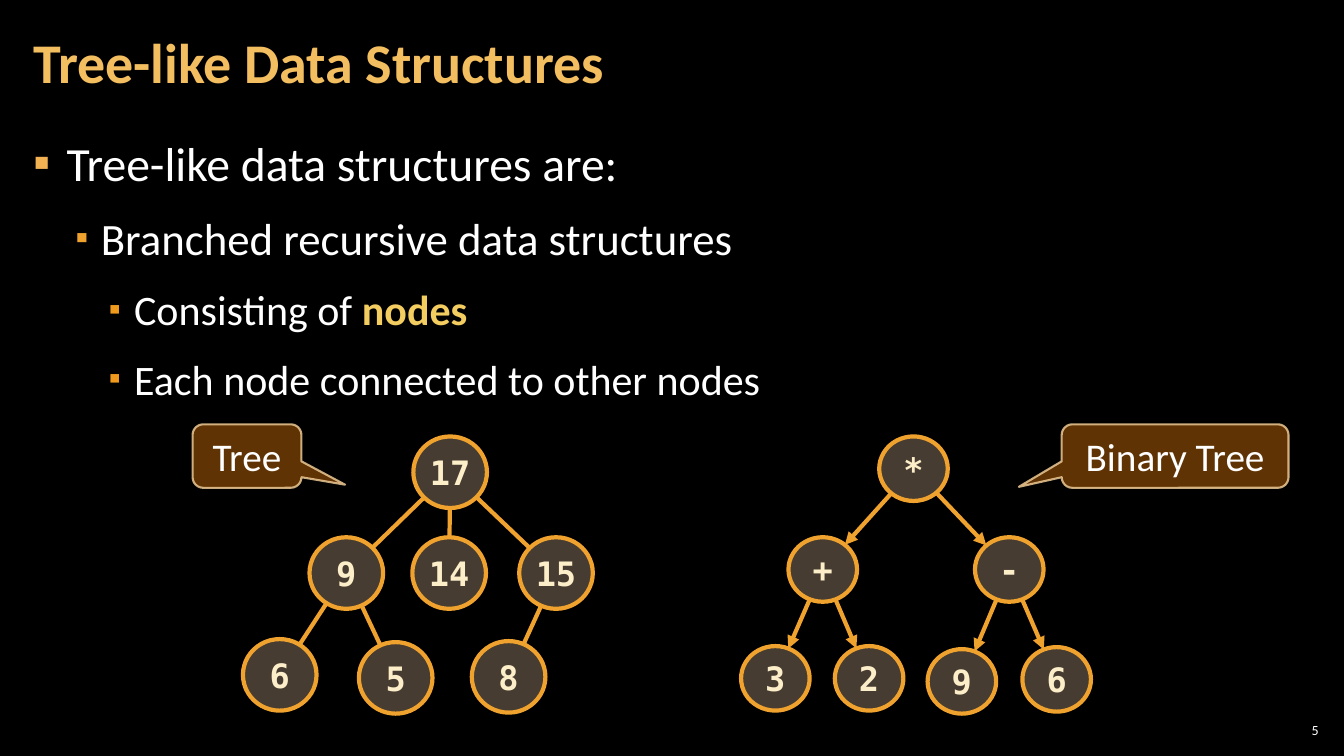
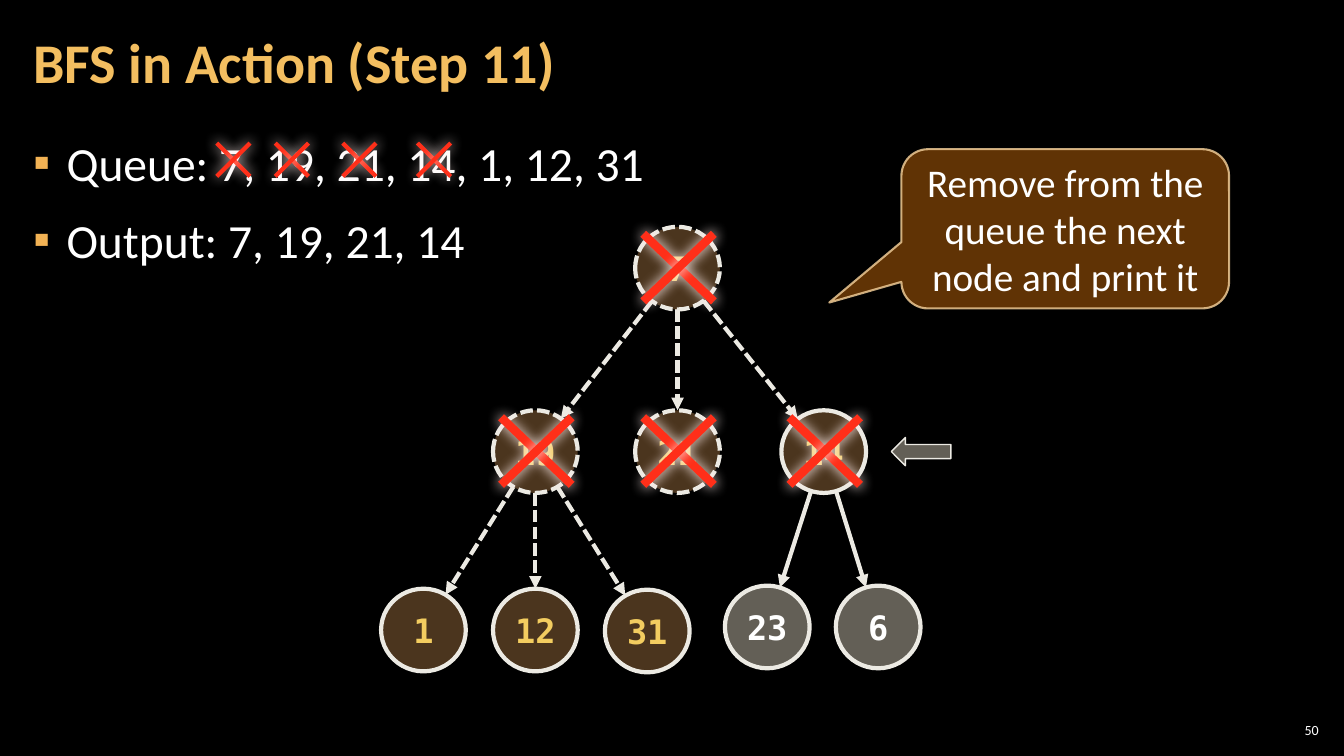
from math import hypot

from lxml import etree
from pptx import Presentation
from pptx.dml.color import RGBColor
from pptx.enum.dml import MSO_LINE
from pptx.enum.shapes import MSO_CONNECTOR, MSO_SHAPE
from pptx.enum.text import MSO_ANCHOR, PP_ALIGN
from pptx.oxml.ns import qn
from pptx.util import Inches, Pt

STRAIGHT = MSO_CONNECTOR.STRAIGHT
OVAL = MSO_SHAPE.OVAL
BUBBLE = MSO_SHAPE.ROUNDED_RECTANGULAR_CALLOUT
ARROW = MSO_SHAPE.LEFT_ARROW
DASH = MSO_LINE.SQUARE_DOT
MIDDLE, TOP = MSO_ANCHOR.MIDDLE, MSO_ANCHOR.TOP
CENTER, RIGHT, LEFT = PP_ALIGN.CENTER, PP_ALIGN.RIGHT, PP_ALIGN.LEFT

BLACK, WHITE = "000000", "FFFFFF"
GOLD, YELLOW, CREAM = "F3BE60", "F3CD60", "FBEEC9"
ORANGE, SAND, IVORY = "F0A22E", "ECC8A4", "ECEAE3"
BROWN, STONE, RED, GLOW = "6C4C2C", "C7BFAC", "FF2F19", "FFEDEB"
RUST, TAN = "663606", "F8D49E"
SANS, MONO = "Calibri", "DejaVu Sans Mono"

LEVELS = [
    dict(size=34, left=0.33, hang=0.33, mark="F2B254", scale=100),
    dict(size=32, left=0.67, hang=0.25, mark=ORANGE, scale=80),
    dict(size=30, left=1, hang=0.25, mark="EF9A1D", scale=80),
]
WARM = dict(fill=SAND, alpha=30, line=ORANGE, ink=CREAM)
SEEN = dict(fill=BROWN, alpha=70, line=IVORY, ink=YELLOW)
DONE = dict(SEEN, dash=DASH)
IDLE = dict(fill=STONE, alpha=50, line=IVORY, ink=WHITE)


def put(obj, **vals):
    for name, val in vals.items():
        setattr(obj, name, val)


def paint(fill, code):
    fill.solid()
    fill.fore_color.rgb = RGBColor.from_string(code)


def add(node, tag, **vals):
    return etree.SubElement(node, qn("a:" + tag), {k: str(v) for k, v in vals.items()})


def fade(node, part, pct):
    color = node.find(qn("a:" + part)).find(".//" + qn("a:srgbClr"))
    add(color, "alpha", val=pct * 1000)


def stroke(line, code, width, dash=None):
    paint(line.fill, code)
    put(line, width=Pt(width))
    if dash:
        line.dash_style = dash


def write(para, text, size, color=WHITE, font=SANS, bold=False):
    run = para.add_run()
    run.text = text
    put(run.font, name=font, size=Pt(size), bold=bold)
    paint(run.font.fill, color)


def textbox(slide, box, inset, anchor):
    frame = slide.shapes.add_textbox(*map(Inches, box)).text_frame
    side, edge = map(Inches, inset)
    put(frame, word_wrap=True, vertical_anchor=anchor, margin_left=side,
        margin_right=side, margin_top=edge, margin_bottom=edge)
    return frame


def shape(slide, kind, box, fill, alpha, line, width, dash=None):
    item = slide.shapes.add_shape(kind, *map(Inches, box))
    item.shadow.inherit = False
    paint(item.fill, fill)
    stroke(item.line, line, width, dash)
    fade(item.element.spPr, "solidFill", alpha)
    return item


def label(item, text, wrap, **look):
    put(item.text_frame, word_wrap=wrap, vertical_anchor=MIDDLE)
    para = item.text_frame.paragraphs[0]
    para.alignment = CENTER
    write(para, text, **look)


def link(slide, start, end, color, width, dash=None, head=False, glow=False):
    item = slide.shapes.add_connector(STRAIGHT, *map(Inches, (*start, *end)))
    stroke(item.line, color, width, dash)
    props = item.element.spPr
    if head:
        add(props.find(qn("a:ln")), "tailEnd", type="triangle")
    effect = add(props, "effectLst")
    if glow:
        shade = add(effect, "outerShdw", blurRad=Pt(10), dist=0, dir=5400000,
                    algn="ctr", rotWithShape=0)
        add(shade, "srgbClr", val=GLOW)


def bullet(para, left, hang, mark, scale):
    put(para, line_spacing=1.05, space_before=Pt(6), space_after=Pt(6), alignment=LEFT)
    props = para._p.get_or_add_pPr()
    props.set("marL", str(Inches(left)))
    props.set("indent", str(-Inches(hang)))
    add(add(props, "buClr"), "srgbClr", val=mark)
    add(props, "buSzPct", val=scale * 1000)
    add(props, "buFont", typeface=SANS)
    add(props, "buChar", char="▪")


def body(slide, box, lines):
    frame = textbox(slide, box, (0.12, 0.04), TOP)
    for i, (level, *parts) in enumerate(lines):
        para = frame.add_paragraph() if i else frame.paragraphs[0]
        look = dict(LEVELS[level])
        size = look.pop("size")
        bullet(para, **look)
        for j, part in enumerate(parts):
            strong = j % 2 == 1
            write(para, part, size, YELLOW if strong else WHITE, bold=strong)


def page(deck, title, number, lines):
    slide = deck.slides.add_slide(deck.slide_layouts[6])
    paint(slide.background.fill, BLACK)
    body(slide, (0.21, 1.26, 12.91, 6.09), lines)
    para = textbox(slide, (0.21, 0.04, 10.47, 1.21), (0.12, 0.04), MIDDLE).paragraphs[0]
    para.line_spacing = 0.9
    write(para, title, 40, GOLD, bold=True)
    para = textbox(slide, (12.65, 7.14, 0.47, 0.21), (0.04, 0.04), MIDDLE).paragraphs[0]
    para.alignment = RIGHT
    write(para, number, 10)
    return slide


def edge(slide, start, end, size, **look):
    dx, dy = end[0] - start[0], end[1] - start[1]
    part = 0.5 / hypot(dx / size[0], dy / size[1])
    link(slide, (start[0] + dx * part, start[1] + dy * part),
         (end[0] - dx * part, end[1] - dy * part), width=3, **look)


def tree(slide, box, size, nodes, head):
    left, top = box
    wide, high = size
    mids = {name: (left + x + wide / 2, top + y + high / 2)
            for name, x, y, *_ in nodes}
    looks = {name: look for name, _, _, _, look in nodes}
    for name, _, _, root, _ in nodes:
        if root:
            look = looks[root]
            edge(slide, mids[root], mids[name], size, color=look["line"],
                 dash=look.get("dash"), head=head)
    for name, x, y, _, look in nodes:
        look = dict(look)
        ink = look.pop("ink")
        item = shape(slide, OVAL, (left + x, top + y, wide, high), width=3, **look)
        label(item, name, False, size=24, color=ink, font=MONO, bold=True)
    return mids


def callout(slide, box, text, tip):
    item = shape(slide, BUBBLE, box, RUST, 95, TAN, 1.5)
    fade(item.element.spPr, "ln", 80)
    for i, val in enumerate((*tip, 0.167)):
        item.adjustments[i] = val
    label(item, text, True, size=28)


def cross(slide, box, width):
    x, y, wide, high = box
    for a, b in ((x, x + wide), (x + wide, x)):
        link(slide, (a, y), (b, y + high), RED, width, glow=True)


def trees(deck):
    slide = page(deck, "Tree-like Data Structures", "5", [
        (0, "Tree-like data structures are:"),
        (1, "Branched recursive data structures"),
        (2, "Consisting of ", "nodes"),
        (2, "Each node connected to other nodes"),
    ])
    tree(slide, (2.41, 4.33), (0.73, 0.71), [
        ("17", 1.69, 0, None, WARM),
        ("9", 0.66, 1, "17", WARM),
        ("14", 1.68, 1, "17", WARM),
        ("15", 2.74, 1, "17", WARM),
        ("6", 0, 2.01, "9", WARM),
        ("5", 1.15, 2.04, "9", WARM),
        ("8", 2.27, 2.03, "15", WARM),
    ], False)
    tree(slide, (7.35, 4.33), (0.68, 0.64), [
        ("*", 1.37, 0, None, WARM),
        ("+", 0.47, 1, "*", WARM),
        ("-", 2.32, 1, "*", WARM),
        ("3", 0, 2.08, "+", WARM),
        ("2", 0.93, 2.08, "+", WARM),
        ("9", 1.85, 2.11, "-", WARM),
        ("6", 2.79, 2.09, "-", WARM),
    ], True)
    callout(slide, (10.53, 4.21, 2.25, 0.63), "Binary Tree", (-0.689, 0.485))
    callout(slide, (1.91, 4.21, 1.08, 0.63), "Tree", (0.901, 0.451))


def search(deck):
    slide = page(deck, "BFS in Action (Step 11)", "50", [
        (0, "Queue: 7, 19, 21, 14, 1, 12, 31"),
        (0, "Output: 7, 19, 21, 14"),
    ])
    mids = tree(slide, (3.78, 2.25), (0.84, 0.82), [
        ("7", 2.52, 0, None, DONE),
        ("19", 1.11, 1.82, "7", DONE),
        ("21", 2.52, 1.82, "7", DONE),
        ("14", 3.97, 1.82, "7", SEEN),
        ("1", 0, 3.59, "19", SEEN),
        ("12", 1.11, 3.59, "19", SEEN),
        ("31", 2.22, 3.6, "19", SEEN),
        ("23", 3.41, 3.56, "14", IDLE),
        ("6", 4.51, 3.56, "14", IDLE),
    ], True)
    for name, left in (("7", 2.15), ("19", 2.73), ("21", 3.4), ("14", 4.14)):
        cross(slide, (left, 1.42, 0.33, 0.33), 3)
        x, y = mids[name]
        cross(slide, (x - 0.34, y - 0.34, 0.7, 0.67), 6)
    shape(slide, ARROW, (8.84, 4.34, 0.59, 0.28), STONE, 50, IVORY, 1)
    callout(slide, (8.94, 1.48, 3.25, 1.58),
            "Remove from the queue the next node and print it", (-0.72, 0.463))


def main():
    deck = Presentation()
    put(deck, slide_width=Inches(13.33), slide_height=Inches(7.5))
    trees(deck)
    search(deck)
    deck.save("out.pptx")


if __name__ == "__main__":
    main()
